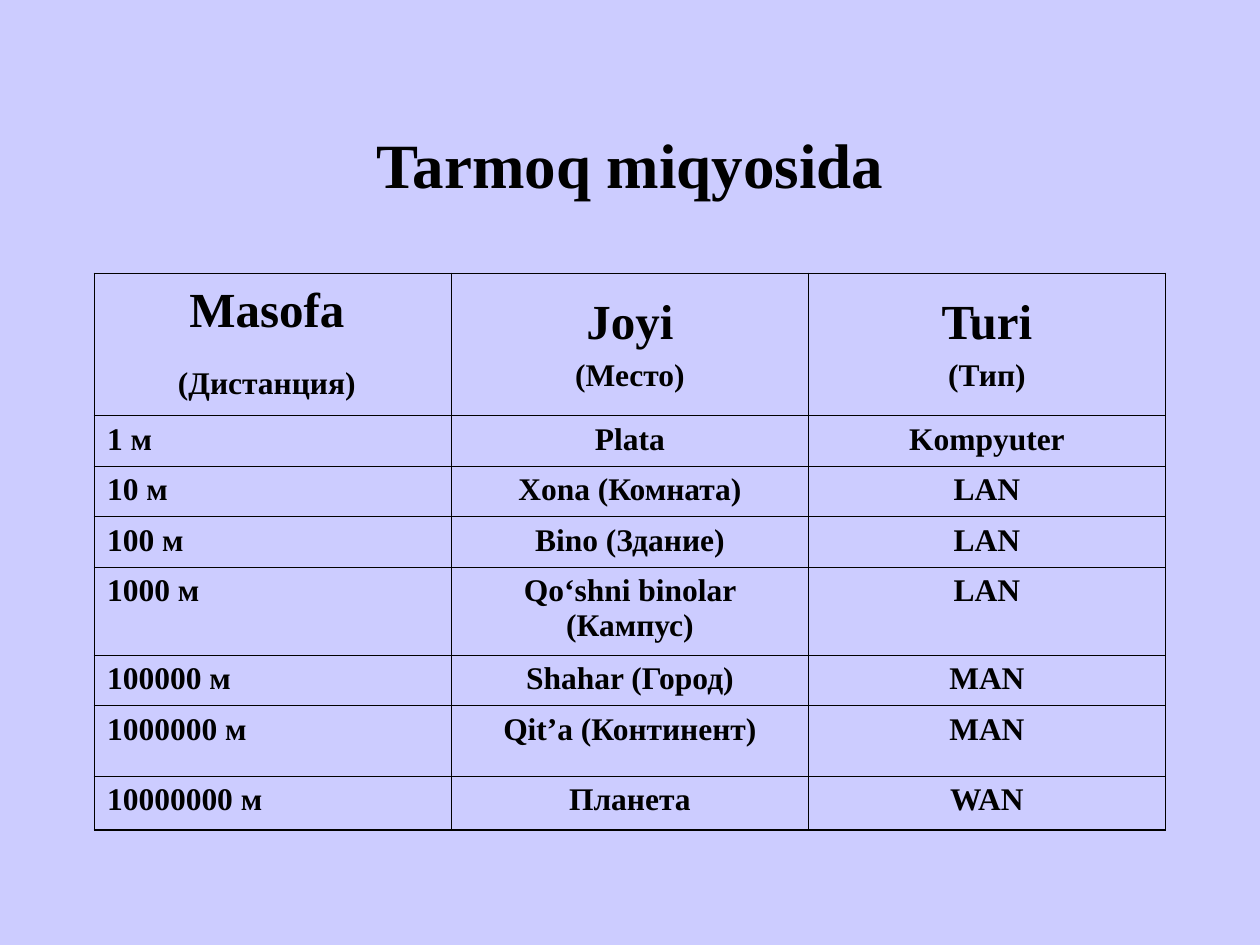
from typing import NamedTuple

from lxml.etree import SubElement
from pptx import Presentation
from pptx.dml.color import RGBColor
from pptx.enum.text import MSO_ANCHOR as Anchor, PP_ALIGN as Align
from pptx.oxml.ns import qn
from pptx.util import Inches, Pt

COLORS = {"background": "CCCCFF", "ink": "000000"}
FONT = "Times New Roman"
OUTER, INNER = Pt(1.08), Pt(0.45)
COLUMN_WIDTH = 8.5 / 3


class Heading(NamedTuple):
    name: str
    translation: str
    gap: float
    tail: str = ""  # large space closing the translation line


class Distance(NamedTuple):
    length: str
    place: str
    network: str
    height: float = 0.4


HEADINGS = [
    Heading("Masofa ", "(Дистанция)", 7, " "),
    Heading("Joyi", "(Место)", 4.5),
    Heading("Turi", "(Тип)", 4.5),
]
DISTANCES = [
    Distance("1 м", "Plata", "Kompyuter"),
    Distance("10 м", "Xona (Комната)", "LAN"),
    Distance("100 м", "Bino (Здание)", "LAN"),
    Distance("1000 м", "Qo‘shni binolar (Кампус)", "LAN", 0.7),
    Distance("100000 м", "Shahar (Город)", "MAN"),
    Distance("1000000 м", "Qit’a (Континент)", "MAN", 0.56),
    Distance("10000000 м", "Планета", "WAN", 0.43),
]


def write(paragraph, text: str, *, size: float, align=Align.CENTER, before: float = 0) -> None:
    """Add a bold run to the paragraph."""
    paragraph.alignment = align
    paragraph.space_before = Pt(before)
    run = paragraph.add_run()
    run.text = text
    run.font.name, run.font.size, run.font.bold = FONT, Pt(size), True
    run.font.color.rgb = RGBColor.from_string(COLORS["ink"])


def draw_borders(cell, row: int, column: int, last_row: int, last_column: int) -> None:
    """Give the table a heavier frame than its inner grid."""
    on_frame = {"L": column == 0, "R": column == last_column,
                "T": row == 0, "B": row == last_row}
    properties = cell._tc.get_or_add_tcPr()
    for position, (side, outer) in enumerate(on_frame.items()):
        line = SubElement(properties, qn(f"a:ln{side}"), w=str(OUTER if outer else INNER))
        fill = SubElement(line, qn("a:solidFill"))
        SubElement(fill, qn("a:srgbClr"), val=COLORS["ink"])
        properties.insert(position, line)


def fill_heading(cell, heading: Heading) -> None:
    cell.vertical_anchor = Anchor.MIDDLE
    write(cell.text_frame.paragraphs[0], heading.name, size=28)
    translation = cell.text_frame.add_paragraph()
    write(translation, heading.translation, size=18, before=heading.gap)
    if heading.tail:
        write(translation, heading.tail, size=28, before=heading.gap)


def add_distance_table(slide) -> None:
    heights = [1.13] + [distance.height for distance in DISTANCES]
    table = slide.shapes.add_table(
        len(heights), len(HEADINGS), Inches(0.75), Inches(2.17),
        Inches(8.5), Inches(sum(heights))).table
    table.first_row = table.horz_banding = False
    for column in table.columns:
        column.width = Inches(COLUMN_WIDTH)
    for row, height in zip(table.rows, heights):
        row.height = Inches(height)

    # Headings
    for column, heading in enumerate(HEADINGS):
        fill_heading(table.cell(0, column), heading)

    # Distances
    for row, distance in enumerate(DISTANCES, start=1):
        for column, text in enumerate(distance[:3]):
            write(table.cell(row, column).text_frame.paragraphs[0], text, size=18,
                  align=Align.CENTER if column else Align.LEFT)

    # Clear fills and grid lines
    for row in range(len(heights)):
        for column in range(len(HEADINGS)):
            cell = table.cell(row, column)
            cell.fill.background()
            draw_borders(cell, row, column, len(heights) - 1, len(HEADINGS) - 1)


def main() -> None:
    deck = Presentation()
    deck.slide_width, deck.slide_height = Inches(10), Inches(7.5)
    slide = deck.slides.add_slide(deck.slide_layouts[5])
    slide.background.fill.solid()
    slide.background.fill.fore_color.rgb = RGBColor.from_string(COLORS["background"])

    # Title
    title = slide.shapes.title
    title.left, title.top = Inches(0.75), Inches(0.67)
    title.width, title.height = Inches(8.5), Inches(1.25)
    title.text_frame.vertical_anchor = Anchor.MIDDLE
    write(title.text_frame.paragraphs[0], "Tarmoq miqyosida", size=36)

    add_distance_table(slide)
    deck.save("out.pptx")


if __name__ == "__main__":
    main()
